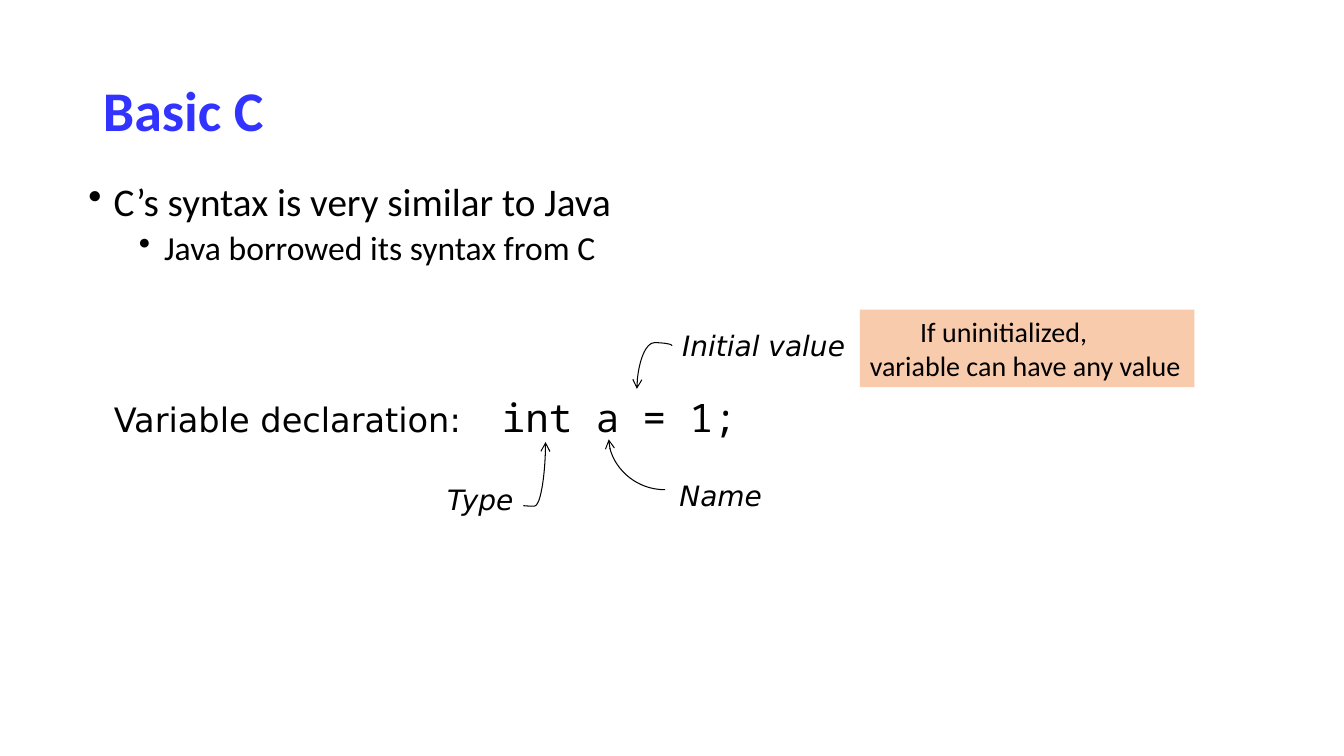
import pptx
import pptx.util
import pptx.dml.color
import pptx.enum.shapes
import pptx.enum.text
import pptx.oxml
import pptx.oxml.ns
from pptx.util import Cm, Pt

BLACK = pptx.dml.color.RGBColor(0x00, 0x00, 0x00)
BLUE = pptx.dml.color.RGBColor(0x33, 0x33, 0xFF)
PEACH = pptx.dml.color.RGBColor(0xF8, 0xCB, 0xAD)
BODY, SANS, MONO = "Calibri", "DejaVu Sans", "Noto Sans Mono"
qn = pptx.oxml.ns.qn


def add_xml(parent, tag, **attrs):
    el = pptx.oxml.xmlchemy.OxmlElement(tag)
    for name, value in attrs.items():
        el.set(name, str(value))
    parent.append(el)
    return el


def write(p, text, size=20, font=BODY, color=BLACK, bold=False, italic=False):
    r = p.add_run()
    r.text = text
    f = r.font
    f.size, f.name, f.bold, f.italic = Pt(size), font, bold, italic
    f.color.rgb = color


def add_box(s, left, top, width, height, wrap=True):
    sp = s.shapes.add_textbox(Cm(left), Cm(top), Cm(width), Cm(height))
    sp.text_frame.word_wrap = wrap
    return sp


def set_title(s, text):
    sp = s.shapes.title
    sp.left, sp.top, sp.width, sp.height = Cm(2.34), Cm(1.02), Cm(29.21), Cm(3.68)
    tf = sp.text_frame
    tf.vertical_anchor = pptx.enum.text.MSO_ANCHOR.MIDDLE
    p = tf.paragraphs[0]
    p.alignment = pptx.enum.text.PP_ALIGN.LEFT
    p.line_spacing = 0.9
    write(p, text, size=40, color=BLUE, bold=True)


def add_bullets(s, items):
    tf = add_box(s, 1.98, 4.47, 30.56, 4.06).text_frame
    for i, (level, text, size) in enumerate(items):
        p = tf.add_paragraph() if i else tf.paragraphs[0]
        p.level = level
        p.line_spacing = 0.9
        if i:
            p.space_before = Pt(5)
        pPr = p._p.get_or_add_pPr()
        pPr.set("marL", str(Cm(0.635 + 1.27 * level)))
        pPr.set("indent", str(-Cm(0.635)))
        add_xml(pPr, "a:buChar", char="•")
        write(p, text, size=size)


def add_declaration(s, label, code):
    p = add_box(s, 2.62, 9.78, 20.62, 1.45).text_frame.paragraphs[0]
    tabs = add_xml(p._p.get_or_add_pPr(), "a:tabLst")
    add_xml(tabs, "a:tab", pos=int(Cm(9.78)), algn="l")
    write(p, label + "\t", size=24, font=SANS)
    write(p, code, size=28, font=MONO)


def add_label(s, text, left, top, width):
    sp = add_box(s, left, top, width, 1.12, wrap=False)
    write(sp.text_frame.paragraphs[0], text, font=SANS, italic=True)


def add_curve(s, left, top, width, height, turn, flip=False, preset=3, adj=None):
    """Curved arrow in an unrotated frame, turned by a number of degrees."""
    ends = [(left, top), (left + width, top + height)]
    (x1, y1), (x2, y2) = reversed(ends) if flip else ends
    cxn = s.shapes.add_connector(pptx.enum.shapes.MSO_CONNECTOR.CURVE,
                                 Cm(x1), Cm(y1), Cm(x2), Cm(y2))
    cxn.line.color.rgb = BLACK
    cxn.line.width = Pt(0.75)
    spPr = cxn._element.spPr
    spPr.find(qn("a:xfrm")).set("rot", str(turn * 60000))
    geom = spPr.find(qn("a:prstGeom"))
    geom.set("prst", f"curvedConnector{preset}")
    if adj is not None:
        add_xml(geom.get_or_add_avLst(), "a:gd", name="adj1", fmla=f"val {adj}")
    add_xml(cxn.line._get_or_add_ln(), "a:tailEnd", type="arrow")
    add_xml(spPr, "a:effectLst")


def add_note(s, lines):
    sp = s.shapes.add_shape(pptx.enum.shapes.MSO_SHAPE.RECTANGLE,
                            Cm(21.67), Cm(7.8), Cm(8.43), Cm(1.96))
    sp.shadow.inherit = False
    sp.fill.solid()
    sp.fill.fore_color.rgb = PEACH
    sp.line.fill.background()
    tf = sp.text_frame
    tf.word_wrap = False
    for i, (text, indent) in enumerate(lines):
        p = tf.add_paragraph() if i else tf.paragraphs[0]
        p.alignment = pptx.enum.text.PP_ALIGN.LEFT
        p._p.get_or_add_pPr().set("marL", str(Cm(indent)))
        write(p, text)


def main():
    prs = pptx.Presentation()
    prs.slide_width, prs.slide_height = Cm(33.87), Cm(19.05)
    s = prs.slides.add_slide(prs.slide_layouts[5])

    # Title and bullets
    set_title(s, "Basic C")
    add_bullets(s, [(0, "C’s syntax is very similar to Java", 28),
                    (1, "Java borrowed its syntax from C", 24)])

    # Declaration with its annotated parts
    add_declaration(s, "Variable declaration:", "int a = 1;")
    add_curve(s, 15.34, 11.07, 1.42, 1.27, 180, preset=2)
    add_label(s, "Name", 16.87, 11.94, 2.59)
    add_curve(s, 12.67, 11.66, 1.6, 0.56, 90, flip=True, adj=-1100)
    add_label(s, "Type", 11.02, 12.04, 2.24)
    add_curve(s, 15.95, 8.81, 1.09, 0.89, 90, adj=-6900)
    add_label(s, "Initial value", 16.94, 8.15, 4.72)

    # Warning beside the initial value
    add_note(s, [("If uninitialized,", 1.27), ("variable can have any value", 0)])

    prs.save("out.pptx")


if __name__ == "__main__":
    main()
